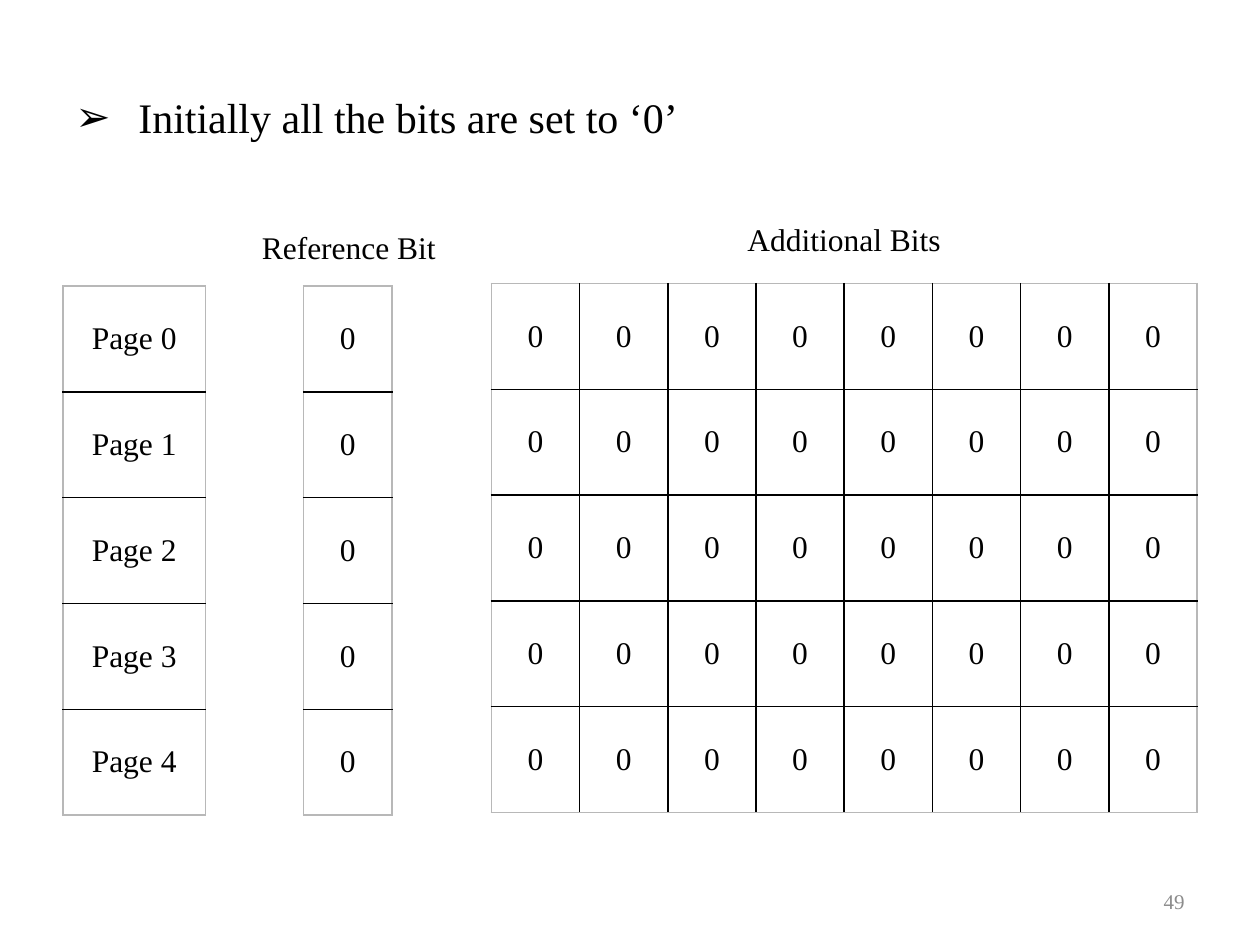
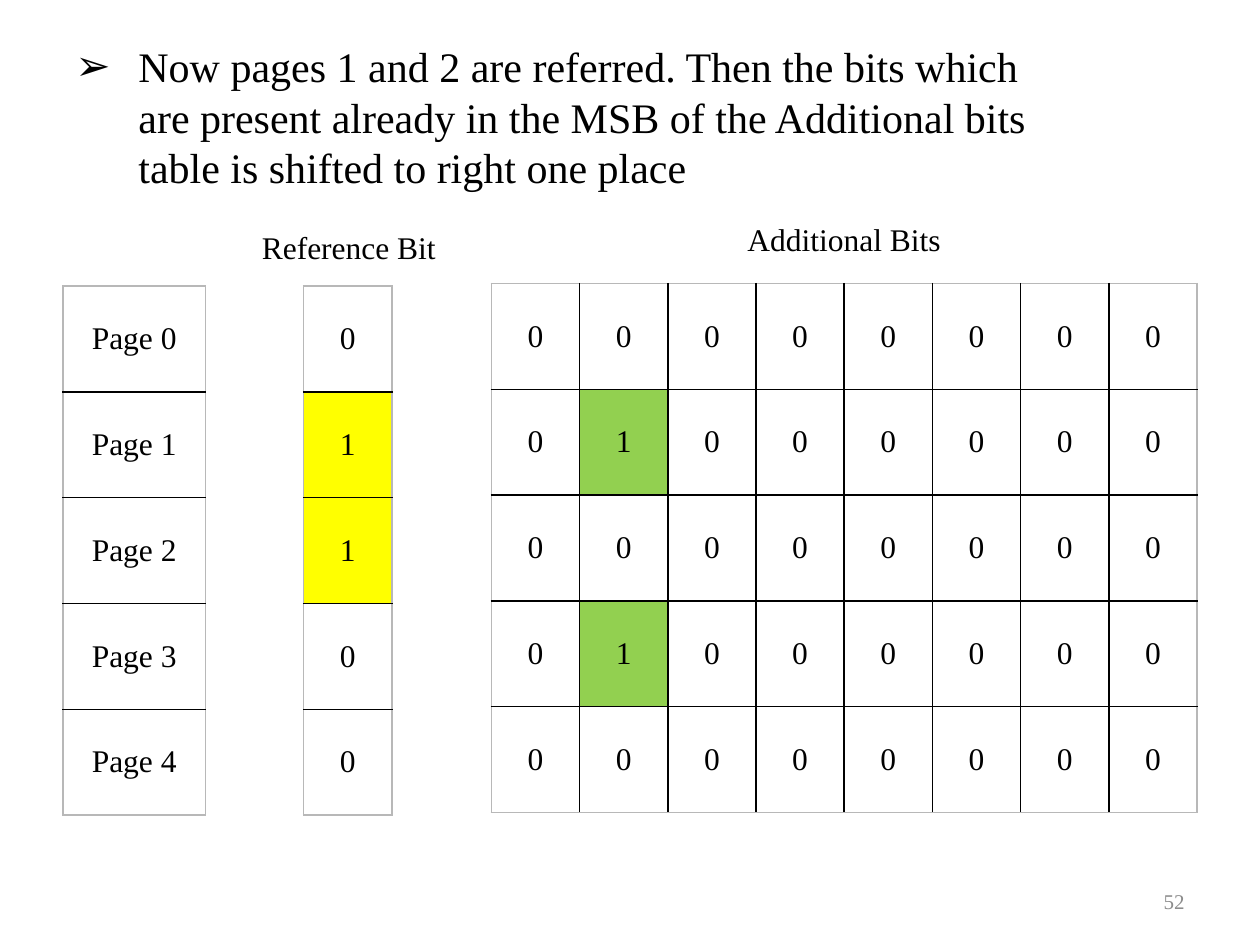
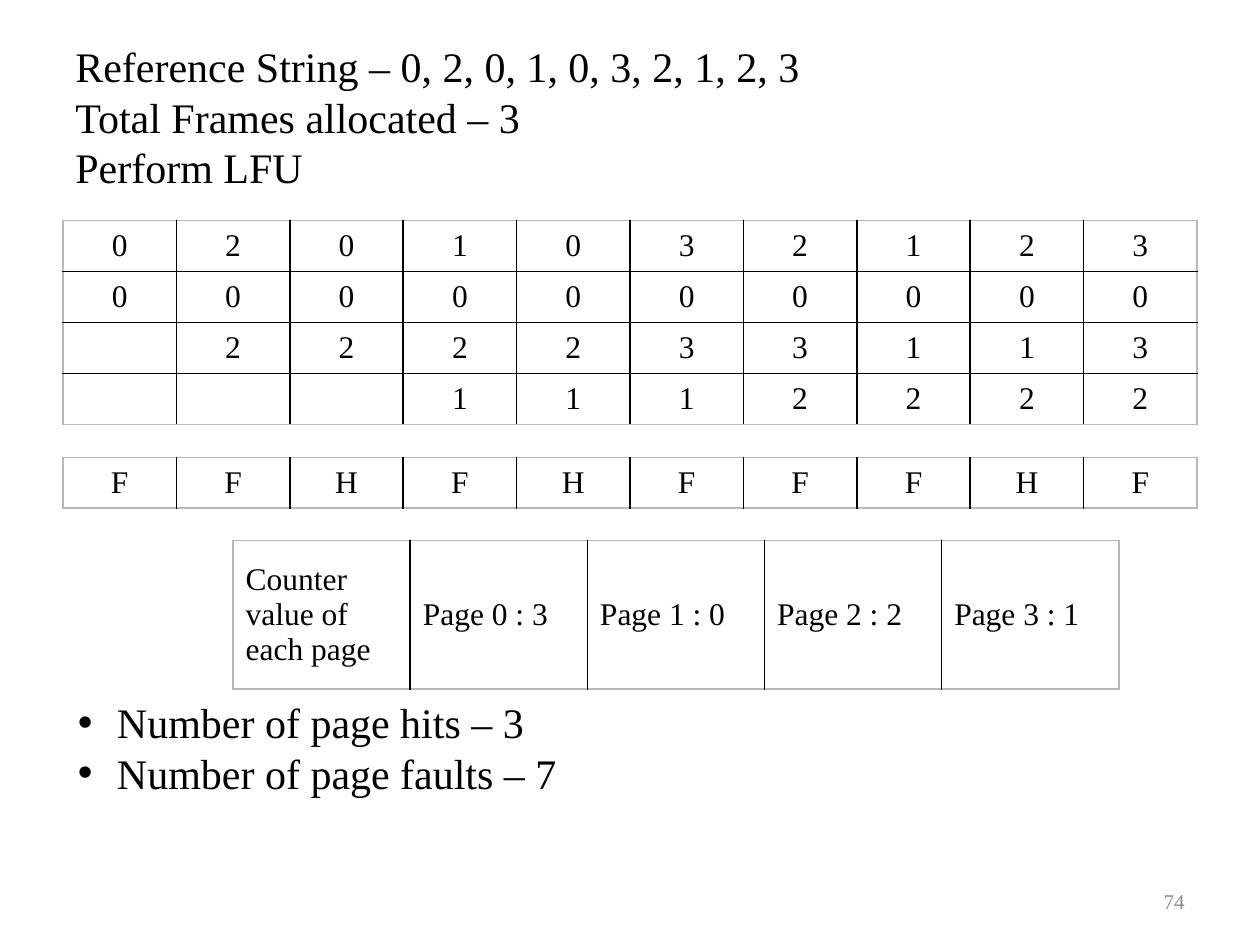
from dataclasses import dataclass

from lxml import etree
from pptx import Presentation
from pptx.dml.color import RGBColor
from pptx.enum.text import MSO_ANCHOR, MSO_AUTO_SIZE, PP_ALIGN
from pptx.oxml.ns import qn
from pptx.util import Inches, Pt

LEFT, CENTER, RIGHT = PP_ALIGN.LEFT, PP_ALIGN.CENTER, PP_ALIGN.RIGHT
TOP, MIDDLE = MSO_ANCHOR.TOP, MSO_ANCHOR.MIDDLE
GROW = MSO_AUTO_SIZE.SHAPE_TO_FIT_TEXT


@dataclass(frozen=True)
class Theme:
    font: str = "Times New Roman"
    bullet_font: str = "Arial"
    ink: str = "000000"
    muted: str = "8C8C8C"
    frame: str = "B8B8B8"
    paper: str = "FFFFFF"
    referenced: str = "FFFF00"
    shifted: str = "92D050"
    heading: int = 24
    body: int = 18
    footer: int = 12
    border: int = 1


THEME = Theme()
PAGE_COUNT, BIT_COUNT = 5, 8


# Text
def set_bullet(p, char, indent):
    pPr = p._p.get_or_add_pPr()
    pPr.set("marL", str(Inches(indent)))
    pPr.set("indent", str(-Inches(indent)))
    etree.SubElement(pPr, qn("a:buFont")).set("typeface", THEME.bullet_font)
    etree.SubElement(pPr, qn("a:buChar")).set("char", char)


def write(p, text, size=THEME.body, color=THEME.ink, align=LEFT):
    p.text = text
    p.alignment = align
    for r in p.runs:
        r.font.name = THEME.font
        r.font.size = Pt(size)
        r.font.color.rgb = RGBColor.from_string(color)


def add_text(slide, box, *paragraphs, anchor=TOP, grow=False,
             bullet=None, indent=0, **text_format):
    tf = slide.shapes.add_textbox(*map(Inches, box)).text_frame
    tf.word_wrap = True
    tf.vertical_anchor = anchor
    if grow:
        tf.auto_size = GROW
    for i, text in enumerate(paragraphs):
        p = tf.add_paragraph() if i else tf.paragraphs[0]
        if bullet:
            set_bullet(p, bullet, indent)
        write(p, text, **text_format)


def add_heading(slide, text, width=9, **options):
    add_text(slide, (0.5, 0.3, width, 1.25), text,
             anchor=MIDDLE, size=THEME.heading, **options)


# Tables
def set_border(cell, side, color):
    ln = etree.SubElement(cell._tc.get_or_add_tcPr(), qn("a:ln" + side))
    ln.set("w", str(Pt(THEME.border)))
    fill = etree.SubElement(ln, qn("a:solidFill"))
    etree.SubElement(fill, qn("a:srgbClr")).set("val", color)


def add_grid(slide, box, rows, align=CENTER, fills=None):
    """Add a table with a grey frame; fills maps (row, column) to a colour."""
    fills = fills or {}
    last_row, last_col = len(rows) - 1, len(rows[0]) - 1
    table = slide.shapes.add_table(
        len(rows), len(rows[0]), *map(Inches, box)).table
    table.first_row = table.horz_banding = False
    for i, row in enumerate(rows):
        for j, text in enumerate(row):
            cell = table.cell(i, j)
            on_frame = {"L": j == 0, "R": j == last_col,
                        "T": i == 0, "B": i == last_row}
            for side, outer in on_frame.items():
                set_border(cell, side, THEME.frame if outer else THEME.ink)
            cell.fill.solid()
            cell.fill.fore_color.rgb = RGBColor.from_string(
                fills.get((i, j), THEME.paper))
            cell.vertical_anchor = MIDDLE
            write(cell.text_frame.paragraphs[0], text, align=align)


# Slides
def new_slide(prs, number):
    slide = prs.slides.add_slide(prs.slide_layouts[6])
    add_text(slide, (7.17, 6.95, 2.33, 0.4), str(number), anchor=MIDDLE,
             size=THEME.footer, color=THEME.muted, align=RIGHT)
    return slide


def add_bits_slide(prs, number, heading, width=9, referenced=(), shifted=()):
    """referenced holds page numbers; shifted holds (page, bit) positions."""
    slide = new_slide(prs, number)
    add_heading(slide, heading, width, bullet="➢", indent=0.5)

    reference_bits = [["1" if page in referenced else "0"]
                      for page in range(PAGE_COUNT)]
    additional_bits = [["1" if (page, bit) in shifted else "0"
                        for bit in range(BIT_COUNT)]
                       for page in range(PAGE_COUNT)]
    add_grid(slide, (3.9, 2.25, 5.6, 4.2), additional_bits,
             fills=dict.fromkeys(shifted, THEME.shifted))
    add_grid(slide, (2.41, 2.27, 0.7, 4.2), reference_bits,
             fills={(page, 0): THEME.referenced for page in referenced})
    add_text(slide, (1.98, 1.76, 1.89, 0.4), "Reference Bit", grow=True)
    add_text(slide, (3.9, 1.7, 5.6, 0.4), "Additional Bits",
             grow=True, align=CENTER)
    add_grid(slide, (0.5, 2.27, 1.13, 4.2),
             [[f"Page {page}"] for page in range(PAGE_COUNT)])


def add_lfu_slide(prs, number):
    slide = new_slide(prs, number)
    add_heading(slide, "Reference String – 0, 2, 0, 1, 0, 3, 2, 1, 2, 3\n"
                       "Total Frames allocated – 3\nPerform LFU")

    # Reference string, then the three frames, one character per step
    add_grid(slide, (0.5, 1.75, 9, 1.62), [
        list("0201032123"),
        list("0" * 10),
        [""] + list("222233113"),
        [""] * 3 + list("1112222"),
    ])
    add_grid(slide, (0.5, 3.63, 9, 0.4), [list("FFHFHFFFHF")])

    # Counters and totals
    counters = [f"Page {page} : {count}"
                for page, count in enumerate((3, 0, 2, 1))]
    add_grid(slide, (1.85, 4.29, 7.03, 1.18),
             [["Counter value of each page"] + counters], align=LEFT)
    add_text(slide, (0.52, 5.48, 8.37, 0.91),
             "Number of page hits – 3", "Number of page faults – 7",
             grow=True, bullet="•", indent=0.31, size=THEME.heading)


def main():
    prs = Presentation()
    prs.slide_width, prs.slide_height = Inches(10), Inches(7.5)
    add_bits_slide(prs, 49, "Initially all the bits are set to ‘0’")
    add_bits_slide(
        prs, 52,
        "Now pages 1 and 2 are referred. Then the bits which are present "
        "already in the MSB of the Additional bits table is shifted to right "
        "one place",
        width=7.89, referenced=(1, 2), shifted=((1, 1), (3, 1)))
    add_lfu_slide(prs, 74)
    prs.save("out.pptx")


if __name__ == "__main__":
    main()
